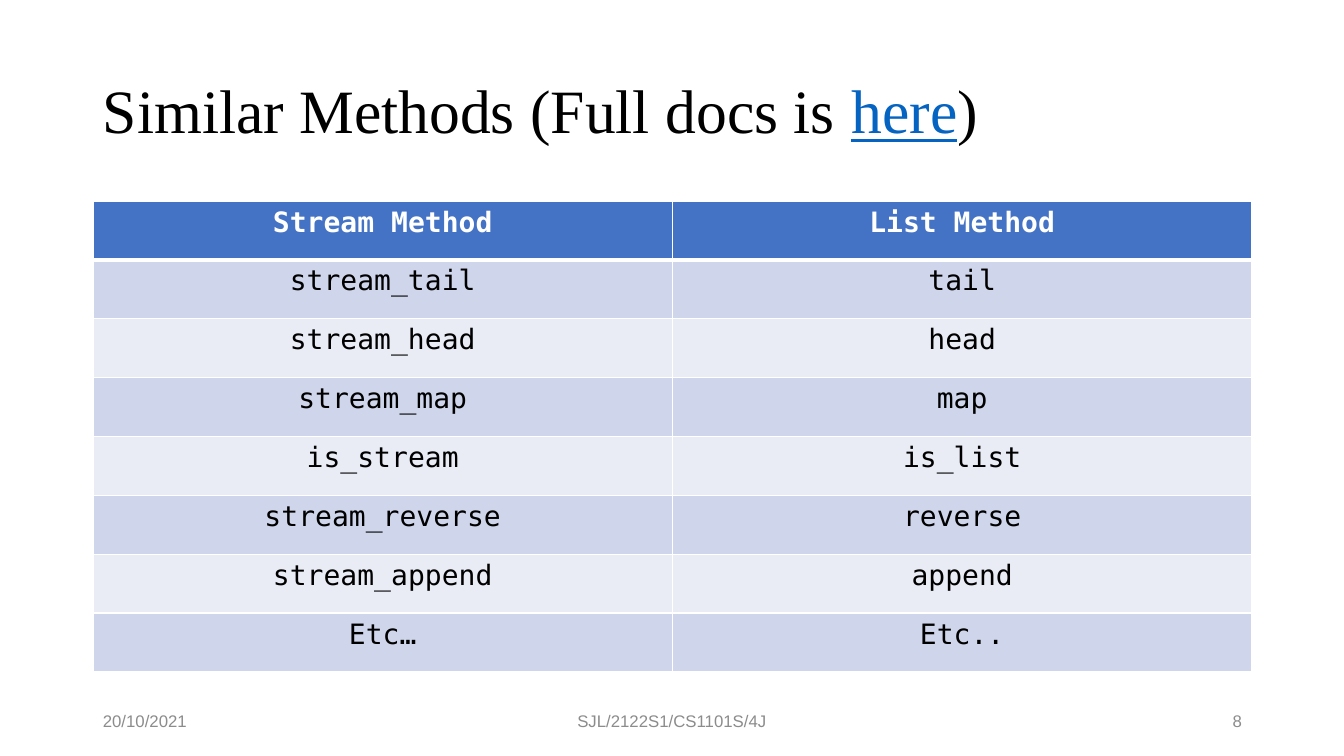
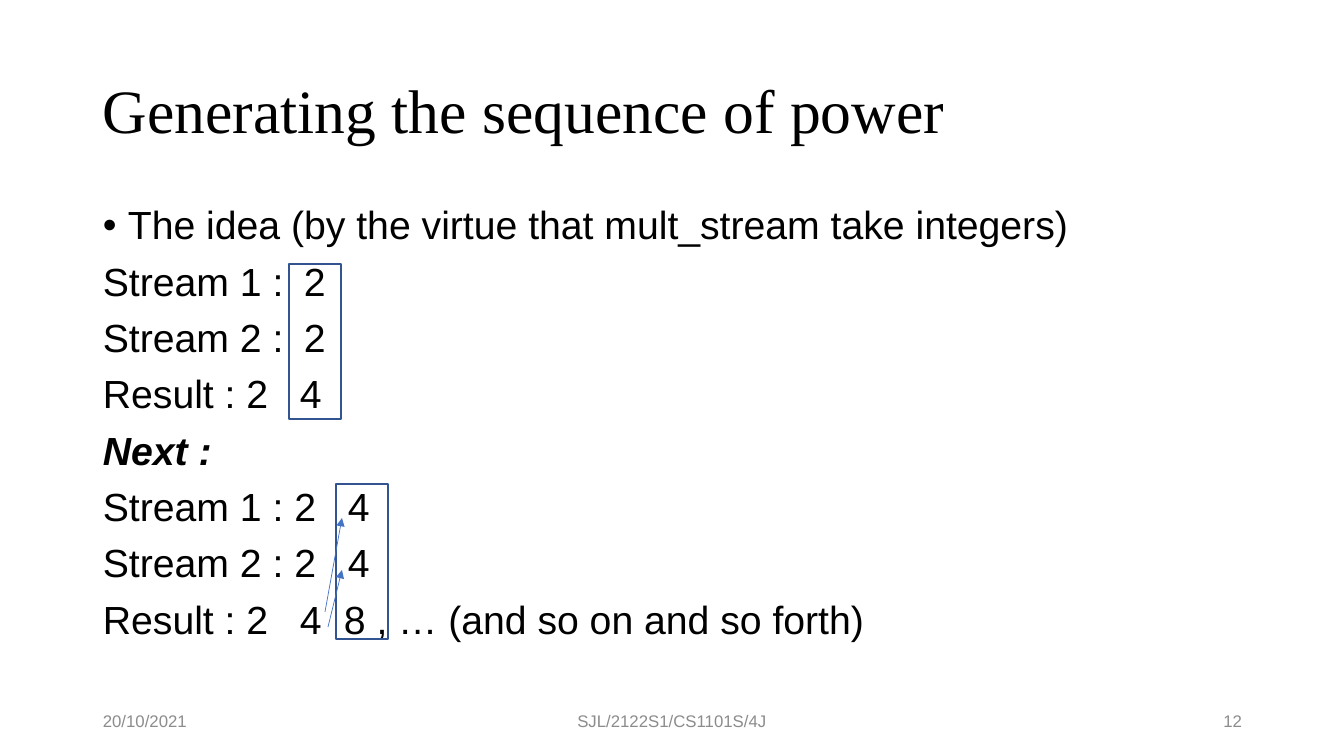
"""Builds two lecture slides on streams: a method table and a worked sequence."""
from lxml import etree
from pptx import Presentation, util as u
from pptx.dml.color import RGBColor
from pptx.enum import shapes, text
from pptx.oxml.ns import qn

BLACK = RGBColor(0x00, 0x00, 0x00)
WHITE = RGBColor(0xFF, 0xFF, 0xFF)
GREY = RGBColor(0x8C, 0x8C, 0x8C)
LINK_BLUE = RGBColor(0x05, 0x63, 0xC1)
BLUE = RGBColor(0x44, 0x72, 0xC4)
DARK_BLUE = RGBColor(0x32, 0x54, 0x91)
BANDS = [RGBColor(0xE9, 0xEB, 0xF5), RGBColor(0xCF, 0xD5, 0xEA)]

LEFT, WIDTH = 93, 1159
LEFT_ALIGN, CENTER, RIGHT = text.PP_ALIGN.LEFT, text.PP_ALIGN.CENTER, text.PP_ALIGN.RIGHT
MIDDLE, TOP = text.MSO_ANCHOR.MIDDLE, text.MSO_ANCHOR.TOP


def px(pixels):
    return u.Emu(round(pixels * 914400 / 100.8))


def add_text(slide, box, words, size, font="Arial", color=BLACK, align=LEFT_ALIGN, anchor=MIDDLE):
    frame = slide.shapes.add_textbox(*map(px, box)).text_frame
    frame.word_wrap = True
    frame.vertical_anchor = anchor
    frame.text = words
    for paragraph in frame.paragraphs:
        paragraph.alignment = align
        paragraph.font.size = u.Pt(size)
        paragraph.font.name = font
        paragraph.font.color.rgb = color
    return frame


presentation = Presentation()
presentation.slide_width, presentation.slide_height = px(1344), px(756)

slides, titles = [], []
for title, number in [("Similar Methods (Full docs is ", "8"),
                      ("Generating the sequence of power", "12")]:
    slide = presentation.slides.add_slide(presentation.slide_layouts[6])
    frame = add_text(slide, (LEFT, 41, WIDTH, 146), title, 44, "Times New Roman")
    frame.paragraphs[0].line_spacing = 0.9
    for left, width, words, align in [(LEFT, 302, "20/10/2021", LEFT_ALIGN),
                                      (445, 454, "SJL/2122S1/CS1101S/4J", CENTER),
                                      (950, 302, number, RIGHT)]:
        add_text(slide, (left, 701, width, 40), words, 12, color=GREY, align=align)
    slides.append(slide)
    titles.append(frame.paragraphs[0])
methods_slide, power_slide = slides

link = titles[0].add_run()
link.text = "here"
link.font.underline = True
link.font.color.rgb = LINK_BLUE
titles[0].add_run().text = ")"

methods = [
    ("Stream Method", "List Method"),
    ("stream_tail", "tail"),
    ("stream_head", "head"),
    ("stream_map", "map"),
    ("is_stream", "is_list"),
    ("stream_reverse", "reverse"),
    ("stream_append", "append"),
    ("Etc…", "Etc.."),
]
table = methods_slide.shapes.add_table(
    len(methods), 2, px(LEFT), px(201), px(WIDTH), px(471)).table
for row, names in enumerate(methods):
    for column, name in enumerate(names):
        cell = table.cell(row, column)
        cell.text = name
        paragraph = cell.text_frame.paragraphs[0]
        paragraph.alignment = CENTER
        paragraph.font.size = u.Pt(20)
        paragraph.font.name = "DejaVu Sans Mono"
        paragraph.font.bold = row == 0
        paragraph.font.color.rgb = BLACK if row else WHITE
        properties = cell._tc.get_or_add_tcPr()
        for side in ("lnL", "lnR", "lnT", "lnB"):
            thick = (row, side) in [(0, "lnB"), (1, "lnT")]
            border = etree.SubElement(properties, qn("a:" + side), w=str(u.Pt(3 if thick else 1)))
            fill = etree.SubElement(border, qn("a:solidFill"))
            etree.SubElement(fill, qn("a:srgbClr"), val=str(WHITE))
        cell.fill.solid()
        cell.fill.fore_color.rgb = BANDS[row % 2] if row else BLUE

steps = [
    ("The idea (by the virtue that mult_stream take integers)", []),
    ("Stream 1 :\t2", [201]),
    ("Stream 2 :\t2", [201]),
    ("Result : 2\t4", [197]),
    ("Next :", []),
    ("Stream 1 : 2\t4", [245]),
    ("Stream 2 : 2\t4", [245]),
    ("Result : 2\t4\t8 , … (and so on and so forth)", [197, 241]),
]
body = add_text(power_slide, (LEFT, 201, WIDTH, 480),
                "\n".join(words for words, stops in steps), 28, anchor=TOP)
for paragraph, (words, stops) in zip(body.paragraphs, steps):
    paragraph.line_spacing = 0.9
    paragraph.space_before = u.Pt(10)
    if stops:
        tabs = etree.Element(qn("a:tabLst"))
        for stop in stops:
            etree.SubElement(tabs, qn("a:tab"), pos=str(px(stop)), algn="l")
        paragraph._p.pPr.find(qn("a:defRPr")).addprevious(tabs)
idea, next_step = body.paragraphs[0], body.paragraphs[4]
idea_properties = idea._p.pPr
idea_properties.set("marL", str(px(25)))
idea_properties.set("indent", str(px(-25)))
for tag, attributes in [("a:buFont", {"typeface": "Arial"}), ("a:buChar", {"char": "•"})]:
    idea_properties.find(qn("a:defRPr")).addprevious(etree.Element(qn(tag), attributes))
next_step.font.bold = True
next_step.font.italic = True

for left, top in [(289, 264), (336, 484)]:
    frame_box = power_slide.shapes.add_shape(
        shapes.MSO_SHAPE.RECTANGLE, px(left), px(top), px(52), px(155))
    frame_box.shadow.inherit = False
    frame_box.fill.background()
    frame_box.line.color.rgb = DARK_BLUE
    frame_box.line.width = u.Pt(1)

for ends in [(325, 612, 342, 518), (328, 627, 342, 570)]:
    arrow = power_slide.shapes.add_connector(shapes.MSO_CONNECTOR.STRAIGHT, *map(px, ends))
    arrow.line.color.rgb = BLUE
    arrow.line.width = u.Pt(0.5)
    etree.SubElement(arrow.line._get_or_add_ln(), qn("a:tailEnd"), type="triangle")
    etree.SubElement(arrow._element.spPr, qn("a:effectLst"))

presentation.save("out.pptx")
